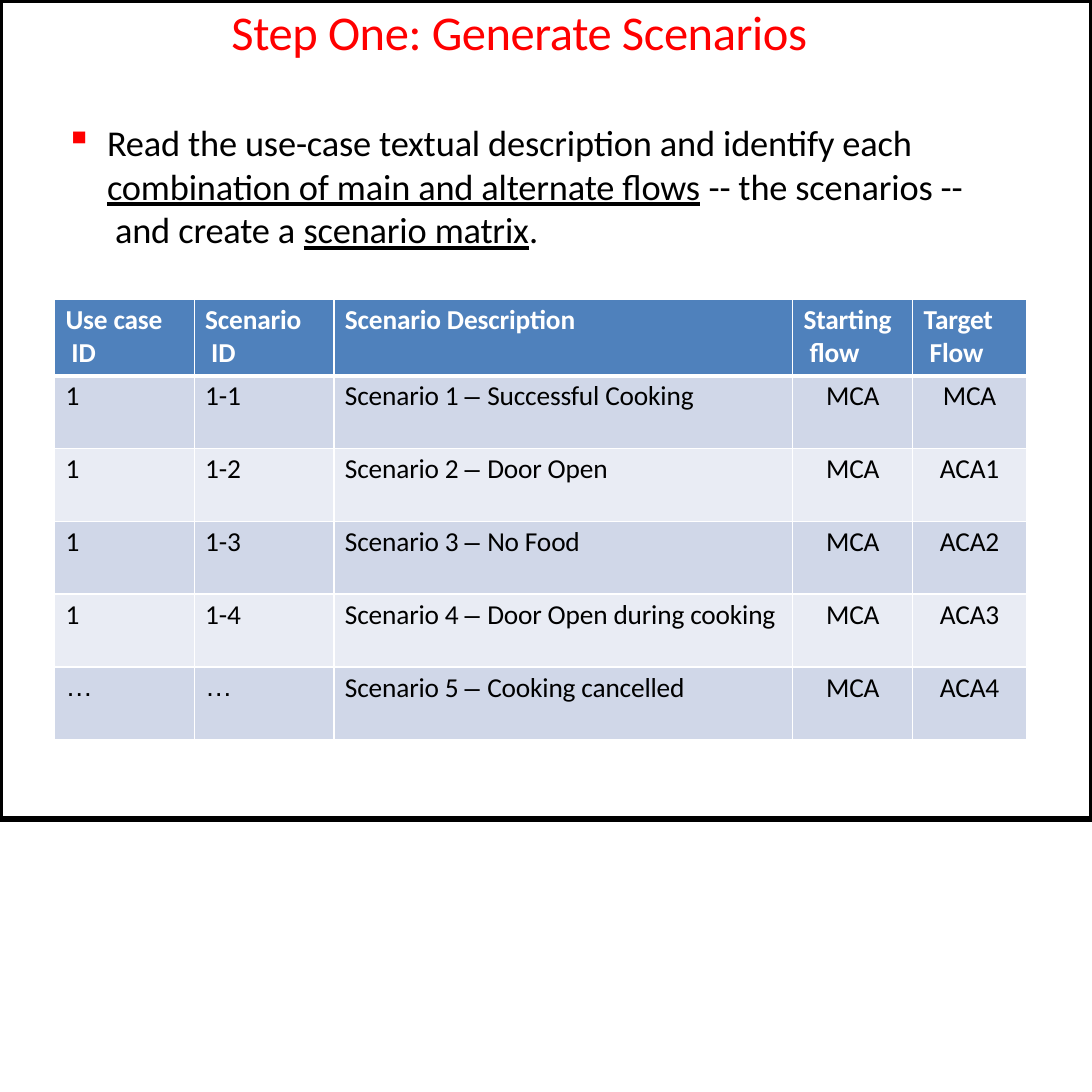
from dataclasses import dataclass

from pptx import Presentation
from pptx.dml.color import RGBColor
from pptx.enum.shapes import MSO_SHAPE
from pptx.enum.text import MSO_ANCHOR, MSO_AUTO_SIZE, PP_ALIGN
from pptx.oxml import parse_xml
from pptx.oxml.ns import nsdecls
from pptx.util import Emu, Inches, Pt

LEFT, CENTER = PP_ALIGN.LEFT, PP_ALIGN.CENTER
TOP = MSO_ANCHOR.TOP
NO_AUTOFIT = MSO_AUTO_SIZE.NONE
RECTANGLE = MSO_SHAPE.RECTANGLE
SIDE = Inches(5)


@dataclass(frozen=True)
class Theme:
    red: str = "FF0000"
    black: str = "000000"
    white: str = "FFFFFF"
    header: str = "4F81BC"
    bands: tuple[str, str] = ("D0D7E8", "E9ECF4")
    font: str = "Calibri"
    symbol_font: str = "Arial"
    title_size: float = 16
    body_size: float = 12
    table_size: float = 9
    thin: float = 0.5
    thick: float = 1.5
    frame: float = 1.92


@dataclass(frozen=True)
class Style:
    size: float
    color: str
    bold: bool = False
    spacing: int = -5  # hundredths of a point


@dataclass(frozen=True)
class Span:
    text: str
    underlined: bool = False
    symbol: bool = False


@dataclass(frozen=True)
class Column:
    heading: str
    width: float
    align: PP_ALIGN
    entries: tuple[str, ...]


THEME = Theme()
TITLE_STYLE = Style(THEME.title_size, THEME.red, spacing=-10)
BODY_STYLE = Style(THEME.body_size, THEME.black)
HEADING_STYLE = Style(THEME.table_size, THEME.white, bold=True)
ENTRY_STYLE = Style(THEME.table_size, THEME.black)

INSTRUCTION = (
    Span("Read the use-case textual description and identify each "),
    Span("combination of main and alternate flows", underlined=True),
    Span(" -- the scenarios --\v and create a "),
    Span("scenario matrix", underlined=True),
    Span("."),
)
OUTCOMES = ("Successful Cooking", "Door Open", "No Food",
            "Door Open during cooking", "Cooking cancelled")
MATRIX = (
    Column("Use case\v ID", 12.8, LEFT, ("1",) * 4 + ("…",)),
    Column("Scenario\v ID", 12.8, LEFT,
           tuple(f"1-{n}" for n in range(1, 5)) + ("…",)),
    Column("Scenario Description", 42, LEFT,
           tuple(f"Scenario {n} – {what}" for n, what in enumerate(OUTCOMES, 1))),
    Column("Starting\v flow", 11, CENTER, ("MCA",) * 5),
    Column("Target\v Flow", 10.4, CENTER,
           ("MCA",) + tuple(f"ACA{n}" for n in range(1, 5))),
)
HEADING_HEIGHT, ENTRY_HEIGHT = 7, 6.67


def share(percent: float) -> Emu:
    """Length as a percentage of the slide's side."""
    return Emu(round(SIDE * percent / 100))


def style_run(run, style: Style, span: Span) -> None:
    font = run.font
    font.name = THEME.symbol_font if span.symbol else THEME.font
    font.size = Pt(style.size)
    font.bold = style.bold
    font.underline = span.underlined
    font.color.rgb = RGBColor.from_string(style.color)
    run._r.get_or_add_rPr().set("spc", str(style.spacing))


def write(paragraph, spans: tuple[Span, ...], style: Style, before: float) -> None:
    paragraph.space_before = Pt(before)
    for span in spans:
        for number, line in enumerate(span.text.split("\v")):
            if number:
                paragraph.add_line_break()
            run = paragraph.add_run()
            run.text = line
            style_run(run, style, span)


def prepare_frame(frame) -> None:
    frame.word_wrap = True
    frame.auto_size = NO_AUTOFIT
    frame.vertical_anchor = TOP
    frame.margin_left = frame.margin_right = frame.margin_bottom = 0
    frame.margin_top = share(0.2)


def add_title(slide) -> None:
    title = slide.shapes.title
    title.left, title.top = share(21.2), 0
    title.width, title.height = share(54.2), share(5.8)
    prepare_frame(title.text_frame)
    title.text_frame.text = "Step One: Generate Scenarios"
    heading = title.text_frame.paragraphs[0]
    heading.alignment = LEFT
    heading.space_before = Pt(0.9)
    style_run(heading.runs[0], TITLE_STYLE, Span(heading.text))


def add_instruction(slide) -> None:
    box = slide.shapes.add_textbox(share(5.8), share(10.8), share(83.6), share(12.6))
    prepare_frame(box.text_frame)
    instruction = box.text_frame.paragraphs[0]
    write(instruction, INSTRUCTION, BODY_STYLE, before=1)
    properties = instruction._p.get_or_add_pPr()
    properties.set("marL", str(share(4)))
    properties.set("indent", str(-share(3.8)))
    properties.append(parse_xml(
        f'<a:buClr {nsdecls("a")}><a:srgbClr val="{THEME.red}"/></a:buClr>'))
    properties.append(parse_xml(f'<a:buChar {nsdecls("a")} char="▪"/>'))


def set_borders(cell, top: float, bottom: float) -> None:
    edges = {"lnL": THEME.thin, "lnR": THEME.thin, "lnT": top, "lnB": bottom}
    properties = cell._tc.get_or_add_tcPr()
    for position, (edge, width) in enumerate(edges.items()):
        properties.insert(position, parse_xml(
            f'<a:{edge} {nsdecls("a")} w="{Pt(width)}"><a:solidFill>'
            f'<a:srgbClr val="{THEME.white}"/></a:solidFill></a:{edge}>'))


def entry_spans(text: str) -> tuple[Span, ...]:
    """Set dashes and ellipses apart, since they use the symbol font."""
    if text == "…":
        return (Span(text, symbol=True),)
    before, dash, after = text.partition("– ")
    return (Span(before), Span(dash, symbol=True), Span(after)) if dash else (Span(text),)


def fill_cell(cell, text: str, row: int, align: PP_ALIGN) -> None:
    is_heading = row == 0
    color = THEME.header if is_heading else THEME.bands[(row - 1) % 2]
    cell.fill.solid()
    cell.fill.fore_color.rgb = RGBColor.from_string(color)
    cell.margin_left = share(1) if align == LEFT else 0
    cell.margin_right = cell.margin_bottom = 0
    cell.margin_top = share(0.4)
    cell.vertical_anchor = TOP
    paragraph = cell.text_frame.paragraphs[0]
    paragraph.alignment = align
    write(paragraph, entry_spans(text),
          HEADING_STYLE if is_heading else ENTRY_STYLE, before=1.2)
    set_borders(cell, top=THEME.thick if row == 1 else THEME.thin,
                bottom=THEME.thick if is_heading else THEME.thin)


def add_matrix(slide) -> None:
    heights = [HEADING_HEIGHT] + [ENTRY_HEIGHT] * len(OUTCOMES)
    matrix = slide.shapes.add_table(
        len(heights), len(MATRIX), share(5), share(27.4),
        share(sum(column.width for column in MATRIX)), share(sum(heights))).table
    matrix.first_row = matrix.horz_banding = False
    for row, height in enumerate(heights):
        matrix.rows[row].height = share(height)
    for index, column in enumerate(MATRIX):
        matrix.columns[index].width = share(column.width)
        fill_cell(matrix.cell(0, index), column.heading, 0, LEFT)
        for row, entry in enumerate(column.entries, 1):
            fill_cell(matrix.cell(row, index), entry, row, column.align)


def add_frame(slide) -> None:
    frame = slide.shapes.add_shape(RECTANGLE, 0, 0, SIDE, share(75))
    frame.shadow.inherit = False
    frame.fill.background()
    frame.line.color.rgb = RGBColor.from_string(THEME.black)
    frame.line.width = Pt(THEME.frame)


def main() -> None:
    deck = Presentation()
    deck.slide_width = deck.slide_height = SIDE
    slide = deck.slides.add_slide(deck.slide_layouts[5])
    add_title(slide)
    add_instruction(slide)
    add_matrix(slide)
    add_frame(slide)
    deck.save("out.pptx")


if __name__ == "__main__":
    main()
